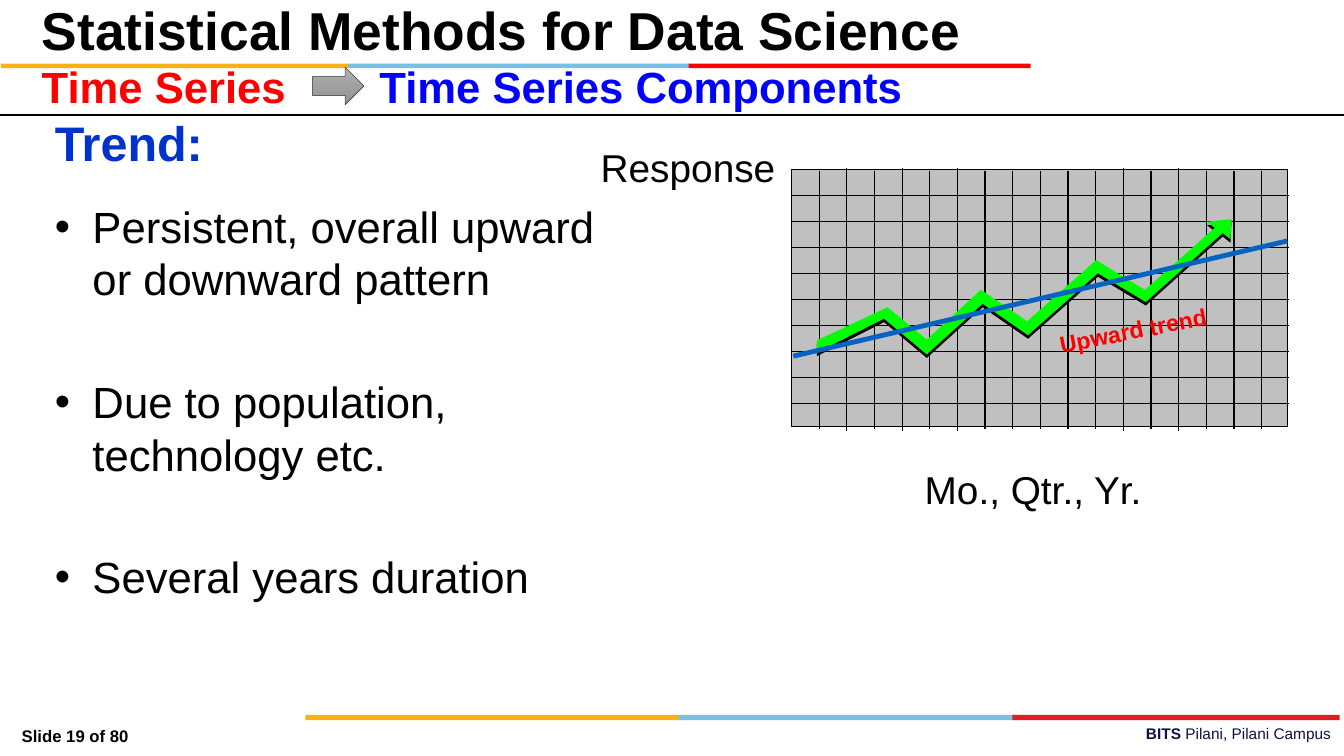
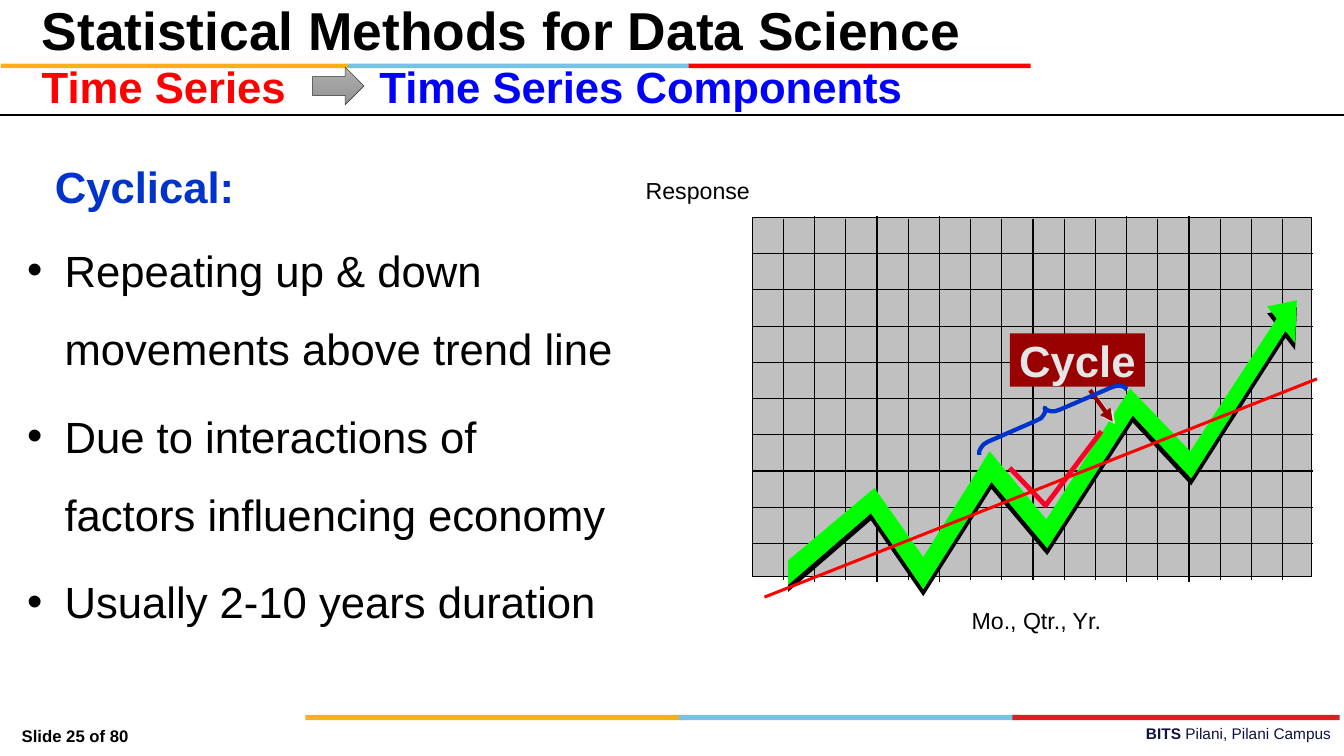
"""Builds two lecture slides on the trend and cyclical components of a time series."""
from dataclasses import dataclass

from lxml import etree
from pptx import Presentation
from pptx.dml.color import RGBColor
from pptx.enum.dml import MSO_LINE
from pptx.enum.shapes import MSO_CONNECTOR, MSO_SHAPE
from pptx.enum.text import MSO_ANCHOR, MSO_AUTO_SIZE, PP_ALIGN
from pptx.oxml.ns import qn
from pptx.util import Pt

PX = 9144
SLIDE_W, SLIDE_H = 1540, 866
RECT, RIGHT_ARROW = MSO_SHAPE.RECTANGLE, MSO_SHAPE.RIGHT_ARROW
STRAIGHT, SOLID = MSO_CONNECTOR.STRAIGHT, MSO_LINE.SOLID
LEFT, CENTER, RIGHT = PP_ALIGN.LEFT, PP_ALIGN.CENTER, PP_ALIGN.RIGHT
TOP, MIDDLE = MSO_ANCHOR.TOP, MSO_ANCHOR.MIDDLE
NO_AUTOFIT = MSO_AUTO_SIZE.NONE


@dataclass(frozen=True)
class Theme:
    """Colours, font and type sizes shared by the slides."""
    font: str = "Arial"
    black: str = "000000"
    red: str = "FF0000"
    blue: str = "0000FF"
    heading: str = "0033CC"
    amber: str = "FCB017"
    sky: str = "76C2E5"
    footer_red: str = "E31C24"
    navy: str = "101141"
    grid: str = "C0C0C0"
    green: str = "00FF00"
    trend: str = "0563C1"
    maroon: str = "990000"
    crimson: str = "FC0128"
    pale: str = "E7E6E6"
    arrow_top: str = "AFAFAF"
    arrow_bottom: str = "939393"
    arrow_edge: str = "404040"
    title_pt: float = 44
    trend_pt: float = 40
    text_pt: float = 36
    axis_pt: float = 32
    small_pt: float = 19.1
    number_pt: float = 13.8
    campus_pt: float = 12.7


THEME = Theme()
HEADER_BANDS = [(1, 398, THEME.amber), (399, 392, THEME.sky), (789, 392, THEME.red)]
FOOTER_BANDS = [(350, 433, THEME.amber), (778, 391, THEME.sky), (1160, 375, THEME.footer_red)]
LONG_COLUMNS = {2, 4, 6, 12, 14}
COLUMNS, ROWS = 17.93, 9.9
ZIGZAG = [
    (0, 900), (170, 650), (266, 888), (396, 523), (508, 758), (673, 305), (791, 523),
    (961, 63), (942, 21), (1000, 0), (997, 148), (978, 106), (793, 616), (678, 399),
    (510, 858), (400, 628), (266, 1000), (163, 737), (0, 985),
]
BRACE = [
    (1291, 446), (1288, 443), (1284, 442), (1279, 442), (1273, 444), (1215, 469),
    (1209, 471), (1204, 471), (1200, 470), (1197, 467), (1198, 471), (1196, 475),
    (1193, 479), (1187, 482), (1132, 506), (1127, 509), (1124, 513), (1122, 517),
    (1122, 521),
]


def emu(*lengths):
    """Turn px lengths into EMU."""
    return [round(length * PX) for length in lengths]


def rgb(colour):
    """Return the colour object for a hex string."""
    return RGBColor.from_string(colour)


def paint(shape, fill=None, line=None, weight=1):
    """Set fill and outline of a shape and drop its shadow."""
    shape.shadow.inherit = False
    if fill:
        shape.fill.solid()
        shape.fill.fore_color.rgb = rgb(fill)
    else:
        shape.fill.background()
    if line:
        shape.line.color.rgb = rgb(line)
        shape.line.width = Pt(weight)
    else:
        shape.line.fill.background()
    return shape


def add_box(slide, place, fill, line=None):
    """Add a plain rectangle."""
    return paint(slide.shapes.add_shape(RECT, *emu(*place)), fill, line)


def style(paragraph, size, colour, bold=False, align=LEFT):
    """Set alignment and font of a paragraph."""
    paragraph.alignment = align
    font = paragraph.font
    font.name, font.size, font.bold = THEME.font, Pt(size), bold
    font.color.rgb = rgb(colour)


def add_text(slide, place, text, size, colour, bold=False, align=LEFT, rotation=0):
    """Add a one-paragraph text box and return its paragraph."""
    box = slide.shapes.add_textbox(*emu(*place))
    box.rotation = rotation
    box.text_frame.word_wrap = True
    paragraph = box.text_frame.paragraphs[0]
    paragraph.text = text
    style(paragraph, size, colour, bold, align)
    return paragraph


def add_line(slide, start, end, colour, weight=1):
    """Add a straight line without a shadow and return it with its effect list."""
    line = slide.shapes.add_connector(STRAIGHT, *emu(*start, *end))
    line.line.color.rgb = rgb(colour)
    line.line.width = Pt(weight)
    line.line.dash_style = SOLID
    effects = etree.SubElement(line.element.spPr, qn("a:effectLst"))
    return line, effects


def add_pointer(slide, start, end, colour, glow):
    """Add an arrow with a hard diagonal shadow."""
    pointer, effects = add_line(slide, start, end, colour, 3.5)
    etree.SubElement(pointer.line._get_or_add_ln(), qn("a:tailEnd"), type="triangle")
    shadow = etree.SubElement(effects, qn("a:outerShdw"), blurRad="0",
                              dist=str(Pt(2.8)), dir="2700000")
    etree.SubElement(shadow, qn("a:srgbClr"), val=glow)


def add_outline(slide, points, closed=False, **look):
    """Add a freeform through the points."""
    builder = slide.shapes.build_freeform(*points[0], scale=PX)
    builder.add_line_segments(points[1:], close=closed)
    return paint(builder.convert_to_shape(), **look)


def add_grid(slide, left, top, width, height):
    """Add the grey plot area with its ruled lines."""
    add_box(slide, (left, top, width, height), THEME.grid, THEME.black)
    for column in range(1, 18):
        x = left + column * width / COLUMNS
        start, end = (-0.005, 1.015) if column in LONG_COLUMNS else (0.005, 1.01)
        add_line(slide, (x, top + start * height), (x, top + end * height), THEME.black)
    for row in range(1, 10):
        y = top + row * height / ROWS
        add_line(slide, (left, y), (left + width + 2, y), THEME.black)


def add_zigzag(slide, left, top, width, height, drop):
    """Add the green series arrow above its black shadow."""
    for offset, colour in ((drop, THEME.black), (0, THEME.green)):
        points = [(left + x * width / 1000, top + offset + y * height / 1000)
                  for x, y in ZIGZAG]
        add_outline(slide, points, closed=True, fill=colour)


def place_placeholder(placeholder, place):
    """Move a placeholder and fix its text frame."""
    placeholder.left, placeholder.top, placeholder.width, placeholder.height = emu(*place)
    frame = placeholder.text_frame
    frame.auto_size, frame.word_wrap, frame.vertical_anchor = NO_AUTOFIT, True, TOP
    return frame


def fill_list(body, place, items, gap, spacing):
    """Fill the body placeholder with bulleted items."""
    frame = place_placeholder(body, place)
    for index, item in enumerate(items):
        paragraph = frame.paragraphs[0] if index == 0 else frame.add_paragraph()
        paragraph.text = item
        properties = paragraph._p.get_or_add_pPr()
        indent = emu(43)[0]
        properties.set("marL", str(indent))
        properties.set("indent", str(-indent))
        etree.SubElement(properties, qn("a:buChar"), char="•")
        paragraph.line_spacing = spacing
        paragraph.space_before = Pt(gap if index else 0)
        style(paragraph, THEME.text_pt, THEME.black)


def dress_layout(layout, slide):
    """Draw the bands and campus line and move them to the layout."""
    for placeholder in list(layout.placeholders):
        if placeholder.placeholder_format.idx >= 10:
            layout.shapes.element.remove(placeholder.element)
    first = len(slide.shapes)
    for bands, top, height in ((HEADER_BANDS, 73, 5), (FOOTER_BANDS, 819, 6)):
        for left, width, colour in bands:
            add_box(slide, (left, top, width, height), colour)
    campus = add_text(slide, (550, 824, 985, 31), "BITS ", THEME.campus_pt,
                      THEME.navy, align=RIGHT)
    campus.runs[0].font.bold = True
    campus.add_run().text = "Pilani, Pilani Campus"
    for shape in list(slide.shapes)[first:]:
        layout.shapes.element.append(shape.element)


def add_header(slide, number):
    """Add the course title, topic path, rule and slide number."""
    frame = place_placeholder(slide.shapes.title, (38, 0, 1266, 68))
    frame.text = "Statistical Methods for Data Science"
    frame.paragraphs[0].line_spacing = 0.9
    style(frame.paragraphs[0], THEME.title_pt, THEME.black, True)
    add_text(slide, (38, 64, 328, 66), "Time Series", THEME.text_pt, THEME.red, True)
    add_text(slide, (425, 64, 1080, 66), "Time Series Components", THEME.text_pt,
             THEME.blue, True)
    arrow = paint(slide.shapes.add_shape(RIGHT_ARROW, *emu(358, 77, 59, 43)),
                  line=THEME.arrow_edge, weight=0.5)
    arrow.fill.gradient()
    arrow.fill.gradient_angle = 270
    for stop, colour in zip(arrow.fill.gradient_stops, (THEME.arrow_top, THEME.arrow_bottom)):
        stop.color.rgb = rgb(colour)
    add_line(slide, (0, 132), (SLIDE_W, 132), THEME.black, 1.5)
    add_text(slide, (15, 826, 253, 31), f"Slide {number} of 80", THEME.number_pt,
             THEME.black, True)


def add_axis_names(slide, response_place, period_place, size):
    """Label the two axes of the plot."""
    for text, place in (("Response", response_place), ("Mo., Qtr., Yr.", period_place)):
        add_text(slide, place, text, size, THEME.black, align=CENTER)


def add_trend(slide):
    """Fill the slide on trend."""
    add_header(slide, 19)
    add_text(slide, (53, 125, 1425, 86), "Trend:", THEME.trend_pt, THEME.heading, True)
    fill_list(slide.placeholders[1], (53, 224, 693, 577),
              ["Persistent, overall upward or downward pattern",
               "Due to population, technology etc.",
               "Several years duration"], gap=58, spacing=1.0)
    add_grid(slide, 907, 194, 568, 295)
    add_zigzag(slide, 936, 251, 475, 155, drop=4)
    add_axis_names(slide, (667, 160, 243, 64), (1022, 529, 324, 64), THEME.axis_pt)
    add_line(slide, (909, 408), (1475, 276), THEME.trend, 4)
    add_text(slide, (1203, 348, 286, 51), "Upward trend", THEME.small_pt, THEME.red,
             True, rotation=349)


def add_cyclical(slide):
    """Fill the slide on cycles."""
    add_header(slide, 25)
    heading = add_text(slide, (53, 148, 1425, 86), "Cyclical:", THEME.text_pt,
                       THEME.heading, True)
    heading.line_spacing = 1.5
    fill_list(slide.placeholders[1], (21, 244, 698, 541),
              ["Repeating up & down movements above trend line",
               "Due to interactions of factors influencing economy",
               "Usually 2-10 years duration"], gap=7.2, spacing=1.5)
    add_grid(slide, 862, 249, 641, 411)
    add_zigzag(slide, 903, 344, 583, 331, drop=8)
    add_axis_names(slide, (699, 197, 201, 42), (1066, 690, 243, 42), THEME.small_pt)
    cycle = add_box(slide, (1157, 382, 155, 61), THEME.maroon).text_frame
    cycle.margin_left = cycle.margin_right = cycle.margin_top = cycle.margin_bottom = 0
    cycle.vertical_anchor = MIDDLE
    cycle.text = "Cycle"
    style(cycle.paragraphs[0], THEME.text_pt, THEME.pale, True, CENTER)
    add_outline(slide, [(1157, 536), (1198, 579), (1262, 494)], line=THEME.crimson, weight=4)
    add_pointer(slide, (1249, 447), (1275, 483), THEME.maroon, THEME.pale)
    add_line(slide, (876, 684), (1509, 434), THEME.red, 2.5)
    add_outline(slide, BRACE, line=THEME.heading, weight=3.5)


def main():
    """Build and save the presentation."""
    deck = Presentation()
    deck.slide_width, deck.slide_height = emu(SLIDE_W, SLIDE_H)
    layout = deck.slide_layouts[1]
    trend, cyclical = (deck.slides.add_slide(layout) for _ in range(2))
    dress_layout(layout, trend)
    add_trend(trend)
    add_cyclical(cyclical)
    deck.save("out.pptx")


if __name__ == "__main__":
    main()
